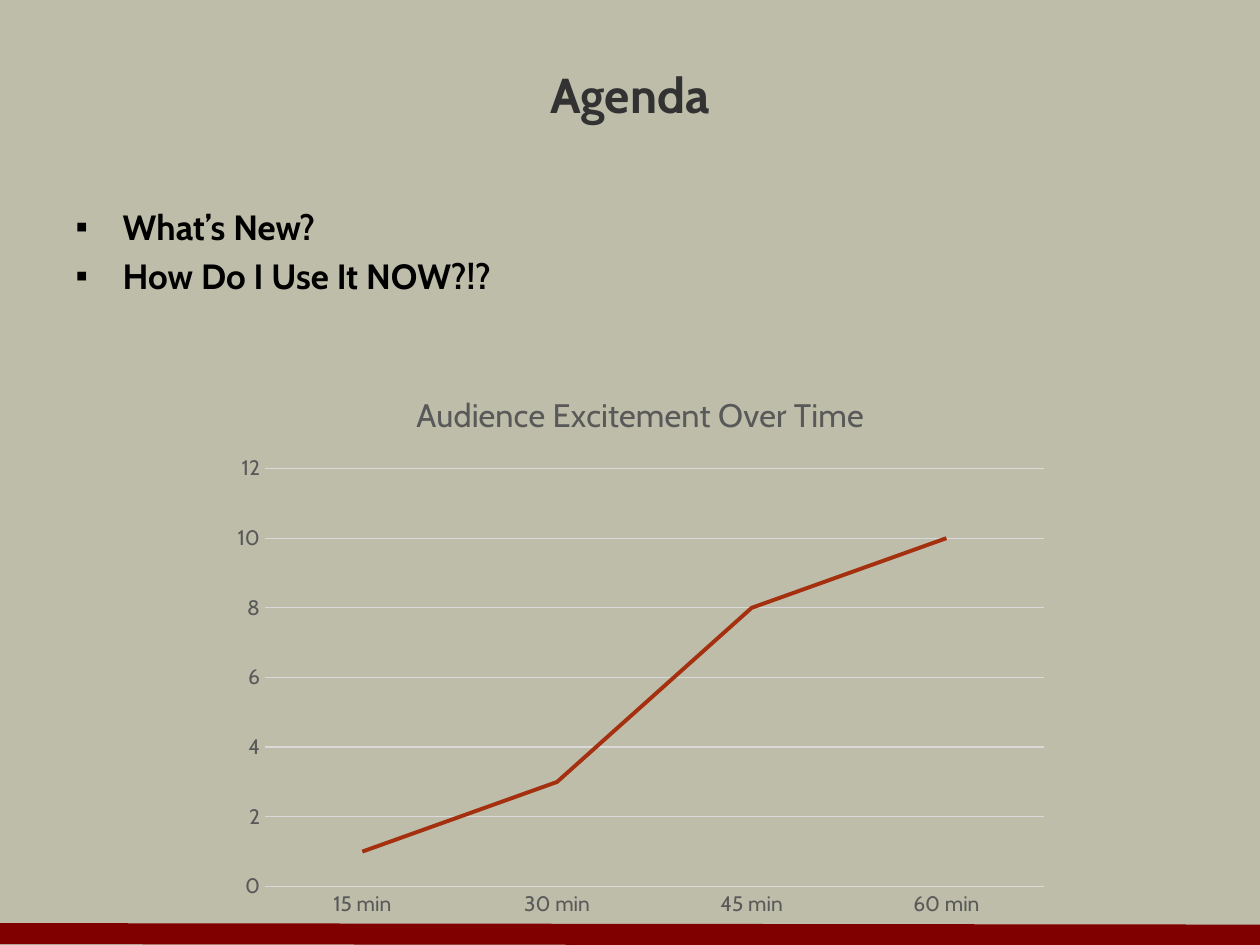
from lxml import etree
from pptx import Presentation
from pptx.chart.data import CategoryChartData
from pptx.dml.color import RGBColor
from pptx.enum.chart import XL_CHART_TYPE, XL_TICK_MARK
from pptx.enum.shapes import MSO_CONNECTOR
from pptx.enum.text import MSO_ANCHOR, PP_ALIGN
from pptx.oxml.ns import qn
from pptx.util import Cm, Pt

LINE_CHART = XL_CHART_TYPE.LINE
NO_TICK = XL_TICK_MARK.NONE
STRAIGHT = MSO_CONNECTOR.STRAIGHT
MIDDLE = MSO_ANCHOR.MIDDLE
TOP = MSO_ANCHOR.TOP
CENTER = PP_ALIGN.CENTER
LEFT = PP_ALIGN.LEFT

FONT = "Cabin"
COLORS = {
    "background": "BDBDA9",
    "footer": "800000",
    "title": "323232",
    "body": "000000",
    "label": "595959",
    "grid": "D9D9D9",
    "series": "A5300F",
}
BULLETS = ["What’s New?", "How Do I Use It NOW?!?"]
EXCITEMENT = {"15 min": 1, "30 min": 3, "45 min": 8, "60 min": 10}


def rgb(name):
    return RGBColor.from_string(COLORS[name])


def set_attrs(obj, values):
    for name, value in values.items():
        setattr(obj, name, value)


def set_font(font, size, color, bold=False):
    set_attrs(font, {"name": FONT, "size": Pt(size), "bold": bold})
    font.color.rgb = rgb(color)


def set_line(line, color, width):
    line.color.rgb = rgb(color)
    line.width = Pt(width)


def place(sp, left, top, width, height):
    box = {"left": left, "top": top, "width": width, "height": height}
    set_attrs(sp, {name: Cm(value) for name, value in box.items()})


def add_footer_line(s):
    line = s.shapes.add_connector(STRAIGHT, Cm(0), Cm(18.82), Cm(25.4), Cm(18.85))
    set_line(line.line, "footer", 12)
    etree.SubElement(line._element.spPr, qn("a:effectLst"))


def fill_title(sp, text):
    place(sp, 1.27, 0.84, 22.86, 2.11)
    tf = sp.text_frame
    set_attrs(tf, {"text": text, "vertical_anchor": MIDDLE, "word_wrap": True})
    p = tf.paragraphs[0]
    p.alignment = CENTER
    set_font(p.runs[0].font, 28, "title", True)


def add_bullet(p):
    pPr = p._p.get_or_add_pPr()
    pPr.set("marL", str(Cm(0.95)))
    pPr.set("indent", str(-Cm(0.95)))
    etree.SubElement(pPr, qn("a:buFont"), typeface="Arial")
    etree.SubElement(pPr, qn("a:buChar"), char="▪")


def fill_list(sp, items):
    place(sp, 1.27, 4.01, 22.86, 12.5)
    tf = sp.text_frame
    set_attrs(tf, {"text": "\n".join(items), "vertical_anchor": TOP, "word_wrap": True})
    for i, p in enumerate(tf.paragraphs):
        set_attrs(p, {"alignment": LEFT, "space_before": Pt(4 if i else 0)})
        add_bullet(p)
        set_font(p.runs[0].font, 20, "body", True)


def format_axis(axis, values):
    set_attrs(axis, {"major_tick_mark": NO_TICK, "minor_tick_mark": NO_TICK, **values})
    set_font(axis.tick_labels.font, 12, "label")


def add_line_chart(s, title, data):
    chart_data = CategoryChartData()
    chart_data.categories = list(data)
    chart_data.add_series("Series 1", list(data.values()))
    frame = s.shapes.add_chart(
        LINE_CHART, Cm(4.45), Cm(7.42), Cm(16.93), Cm(11.28), chart_data
    )
    chart = frame.chart
    set_font(chart.font, 10, "body")
    set_attrs(chart, {"has_legend": False, "has_title": True})
    tf = chart.chart_title.text_frame
    tf.text = title
    set_font(tf.paragraphs[0].runs[0].font, 18.6, "label")
    chart.chart_title.include_in_layout = False

    format_axis(chart.category_axis, {"has_major_gridlines": False})
    set_line(chart.category_axis.format.line, "grid", 0.75)
    scale = {"minimum_scale": 0, "maximum_scale": 12, "major_unit": 2}
    format_axis(chart.value_axis, {"has_major_gridlines": True, **scale})
    chart.value_axis.format.line.fill.background()
    set_line(chart.value_axis.major_gridlines.format.line, "grid", 0.75)

    plot = chart.plots[0]
    plot.vary_by_categories = False
    series = plot.series[0]
    series.smooth = False
    set_line(series.format.line, "series", 2.25)


def main():
    prs = Presentation()
    set_attrs(prs, {"slide_width": Cm(25.4), "slide_height": Cm(19.05)})
    s = prs.slides.add_slide(prs.slide_layouts[1])
    s.background.fill.solid()
    s.background.fill.fore_color.rgb = rgb("background")
    add_footer_line(s)
    fill_title(s.shapes.title, "Agenda")
    fill_list(s.placeholders[1], BULLETS)
    add_line_chart(s, "Audience Excitement Over Time", EXCITEMENT)
    prs.save("out.pptx")


if __name__ == "__main__":
    main()
